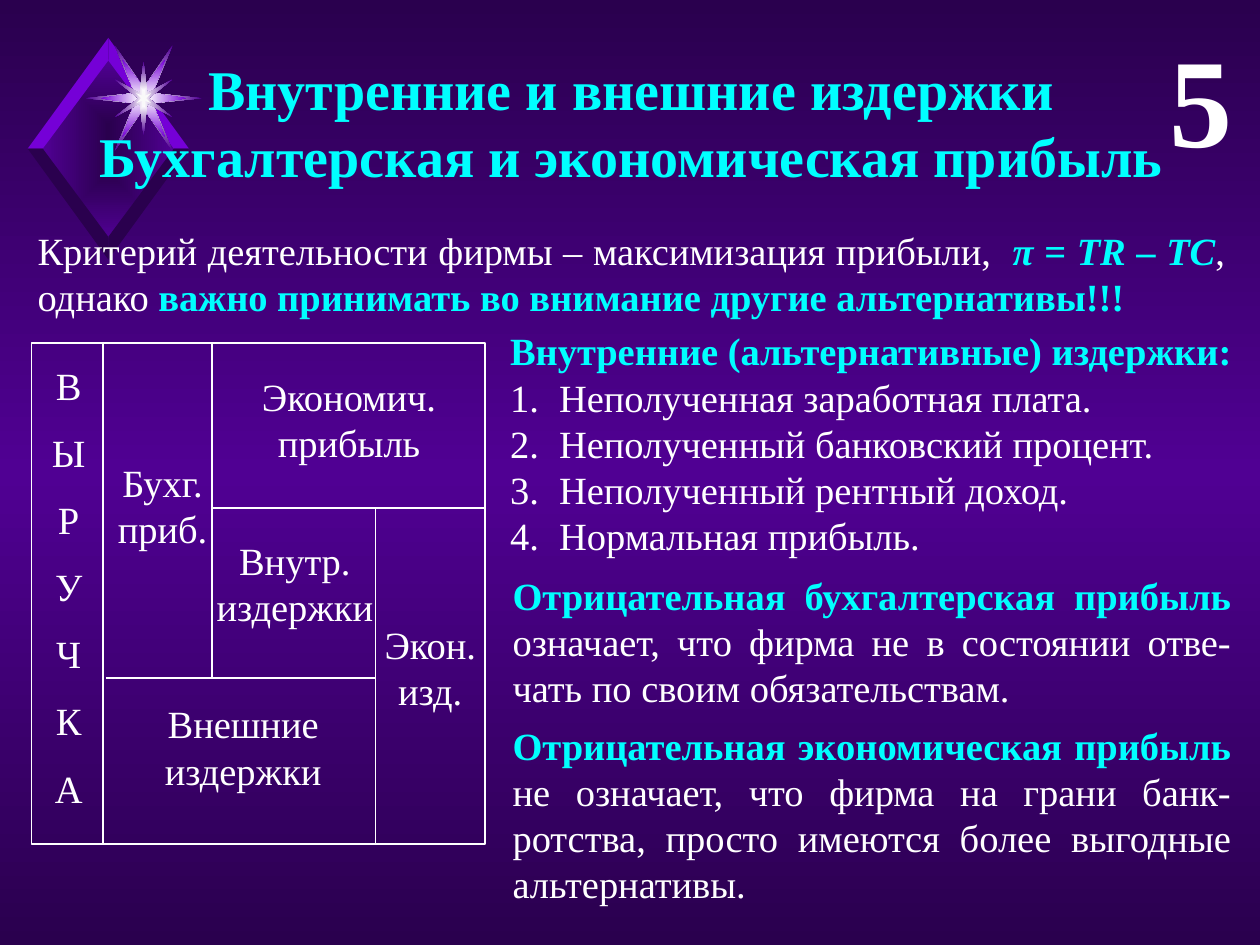
from lxml import etree
from pptx import Presentation
from pptx.dml.color import RGBColor
from pptx.enum.shapes import MSO_CONNECTOR, MSO_SHAPE
from pptx.enum.text import MSO_ANCHOR, MSO_AUTO_SIZE, PP_ALIGN
from pptx.oxml import parse_xml
from pptx.oxml.ns import nsdecls, qn
from pptx.util import Inches, Pt

THEME = {
    "font": "Times New Roman",
    "title": 32, "number": 72, "body": 22,
    "dark": "2A004E", "violet": "500093", "bright": "7500D7",
    "white": "FFFFFF", "spark": "F9F9F9", "accent": "00FFFF",
}
STYLES = {
    "plain": {"color": "white"},
    "key": {"color": "accent", "bold": True},
    "formula": {"color": "accent", "bold": True, "italic": True},
    "number": {"color": "white", "bold": True},
}
CENTER, RIGHT, JUSTIFY = PP_ALIGN.CENTER, PP_ALIGN.RIGHT, PP_ALIGN.JUSTIFY

# Content: a paragraph is a list of (text, style) runs
TITLE = [[("Внутренние и внешние издержки", "key")],
         [("Бухгалтерская и экономическая прибыль", "key")]]
NUMBER = [[("5", "number")]]
CRITERION = [[
    ("Критерий деятельности фирмы – максимизация прибыли,  ", "plain"),
    ("π ", "formula"), ("= ", "key"), ("TR", "formula"), (" – ", "key"),
    ("TC", "formula"), (", однако ", "plain"),
    ("важно принимать во внимание другие альтернативы!!!", "key"),
]]
COSTS_HEADING = [("Внутренние (альтернативные) издержки:", "key")]
COSTS = ["Неполученная заработная плата.", "Неполученный банковский процент.",
         "Неполученный рентный доход.", "Нормальная прибыль."]
NEGATIVE_ACCOUNTING = [[
    ("Отрицательная бухгалтерская прибыль", "key"),
    (" означает, что фирма не в состоянии отве-чать по своим обязательствам.",
     "plain"),
]]
NEGATIVE_ECONOMIC = [[
    ("Отрицательная экономическая прибыль", "key"),
    (" не означает, что фирма на грани банк-ротства, просто имеются более "
     "выгодные альтернативы.", "plain"),
]]
REVENUE = "ВЫРУЧКА"
CELLS = [  # left, top, width, lines
    (0.97, 5.51, 1.92, ("Внешние", "издержки")),
    (0.83, 3.59, 0.92, ("Бухг.", "приб.")),
    (1.9, 2.91, 1.74, ("Экономич.", "прибыль")),
    (1.6, 4.21, 1.48, ("Внутр.", "издержки")),
    (2.91, 4.88, 1.01, ("Экон.", "изд.")),
]

# Diagram frame and its dividers
FRAME = (0.25, 2.72, 3.6, 3.98)
FRAME_RIGHT, FRAME_BOTTOM = FRAME[0] + FRAME[2], FRAME[1] + FRAME[3]
REVENUE_X, ACCOUNTING_X, ECONOMIC_X = 0.82, 1.68, 2.98
PROFIT_Y, EXTERNAL_Y = 4.03, 5.38
DIVIDERS = [
    (REVENUE_X, FRAME[1], REVENUE_X, FRAME_BOTTOM),
    (ACCOUNTING_X, FRAME[1], ACCOUNTING_X, EXTERNAL_Y),
    (0.84, EXTERNAL_Y, ECONOMIC_X, EXTERNAL_Y),
    (ACCOUNTING_X, PROFIT_Y, FRAME_RIGHT, PROFIT_Y),
    (ECONOMIC_X, PROFIT_Y, ECONOMIC_X, 6.69),
]

# Ornament: points are offsets from a centre
DIAMOND_CENTER, STAR_CENTER = (0.86, 1.18), (1.14, 0.78)
DIAMOND = [(0, -0.71), (-0.52, 0), (0, 0.71), (0.52, 0)]
FACET = [(0, 0.7), (0, 0.88), (0.64, 0), (0.52, 0)]
STARS = [  # one quarter of each outline, from the right to the bottom
    ([(0.46, 0), (0.07, 0.04), (0.23, 0.42), (0, 0.08)], ("white", "violet")),
    ([(0.34, 0), (0.07, 0.04), (0.17, 0.31), (0, 0.08)], ("white", "bright")),
    ([(0.04, 0), (0.23, 0.15), (0.03, 0.04), (0, 0.29)], ("white", "violet")),
    ([(0.02, 0), (0.06, 0.04), (0.01, 0.02), (0, 0.07)], ("spark",)),
]
LINEAR = '<a:lin ang="5400000" scaled="0"/>'
FROM_CENTER = ('<a:path path="rect"><a:fillToRect l="50000" t="50000" '
               'r="50000" b="50000"/></a:path>')


def color(name):
    return RGBColor.from_string(THEME[name])


def paint(fill, element, names, direction=FROM_CENTER):
    """Fill with one colour, or with evenly spaced gradient stops."""
    fill.solid()
    fill.fore_color.rgb = color(names[0])
    if len(names) == 1:
        return
    stops = "".join(
        f'<a:gs pos="{100000 * index // (len(names) - 1)}">'
        f'<a:srgbClr val="{THEME[name]}"/></a:gs>'
        for index, name in enumerate(names))
    solid = next(element.iter(qn("a:solidFill")))
    solid.getparent().replace(solid, parse_xml(
        f'<a:gradFill {nsdecls("a")} rotWithShape="1">'
        f'<a:gsLst>{stops}</a:gsLst>{direction}</a:gradFill>'))


def add_outline(center, offsets, names):
    points = [(Inches(center[0] + x), Inches(center[1] + y)) for x, y in offsets]
    builder = slide.shapes.build_freeform(*points[0])
    builder.add_line_segments(points[1:], close=True)
    shape = builder.convert_to_shape()
    shape.shadow.inherit = False
    shape.line.fill.background()
    paint(shape.fill, shape.element, names)


def write(shape, paragraphs, align, size="body", space_before=0):
    frame = shape.text_frame
    frame.word_wrap = True
    frame.auto_size = MSO_AUTO_SIZE.NONE
    frame.vertical_anchor = MSO_ANCHOR.TOP
    for index, runs in enumerate(paragraphs):
        paragraph = frame.add_paragraph() if index else frame.paragraphs[0]
        paragraph.alignment = align
        paragraph.space_before = Pt(space_before)
        for text, style in runs:
            run = paragraph.add_run()
            run.text = text
            values = {"name": THEME["font"], "size": Pt(THEME[size]),
                      "bold": False, "italic": False, **STYLES[style]}
            run.font.color.rgb = color(values.pop("color"))
            for attribute, value in values.items():
                setattr(run.font, attribute, value)


def add_text(box, paragraphs, align, **options):
    shape = slide.shapes.add_textbox(*map(Inches, box))
    write(shape, paragraphs, align, **options)
    return shape


def draw_line(line):
    line.color.rgb = color("white")
    line.width = Pt(1)


presentation = Presentation()
presentation.slide_width, presentation.slide_height = Inches(10), Inches(7.5)
slide = presentation.slides.add_slide(presentation.slide_layouts[5])
paint(slide.background.fill, slide.element, ("dark", "violet", "dark"), LINEAR)

# Diamond with four facets, then the stars
add_outline(DIAMOND_CENTER, DIAMOND, ("dark", "violet"))
for vertical, name in ((-1, "bright"), (1, "dark")):
    for side in (1, -1):
        add_outline(DIAMOND_CENTER,
                    [(side * x, vertical * y) for x, y in FACET], (name,))
for quarter, names in STARS:
    half = quarter + [(-x, y) for x, y in reversed(quarter[:-1])]
    add_outline(STAR_CENTER,
                half + [(x, -y) for x, y in reversed(half[1:-1])], names)

# Title stands in front of the ornament
title = slide.shapes.title
title.left, title.top, title.width, title.height = map(
    Inches, (0.2, 0.38, 9.62, 1.18))
write(title, TITLE, CENTER, size="title")
title.element.getparent().append(title.element)
add_text((8.63, 0.12, 1.25, 1.31), NUMBER, RIGHT, size="number")

# Text blocks
add_text((0.2, 1.75, 9.62, 0.84), CRITERION, JUSTIFY)
costs = add_text((3.95, 2.55, 6.03, 1.95),
                 [COSTS_HEADING] + [[(cost, "plain")] for cost in COSTS], JUSTIFY)
for paragraph in costs.text_frame.paragraphs[1:]:
    properties = paragraph._p.get_or_add_pPr()
    properties.set("marL", str(Inches(0.39)))
    properties.set("indent", str(-Inches(0.39)))
    etree.SubElement(properties, qn("a:buFontTx"))
    etree.SubElement(properties, qn("a:buAutoNum"), type="arabicPeriod")
add_text((3.97, 4.49, 5.9, 1.21), NEGATIVE_ACCOUNTING, JUSTIFY)
add_text((3.97, 5.68, 5.9, 1.58), NEGATIVE_ECONOMIC, JUSTIFY)

# Revenue diagram
frame_shape = slide.shapes.add_shape(MSO_SHAPE.RECTANGLE, *map(Inches, FRAME))
frame_shape.shadow.inherit = False
frame_shape.fill.background()
draw_line(frame_shape.line)
for divider in DIVIDERS:
    connector = slide.shapes.add_connector(MSO_CONNECTOR.STRAIGHT,
                                           *map(Inches, divider))
    draw_line(connector.line)
    etree.SubElement(connector.element.spPr, qn("a:effectLst"))
add_text((0.27, 2.82, 0.55, 3.32), [[(letter, "plain")] for letter in REVENUE],
         CENTER, space_before=12)
for left, top, width, words in CELLS:
    add_text((left, top, width, 1.02), [[(word, "plain")] for word in words], CENTER)

presentation.save("out.pptx")
